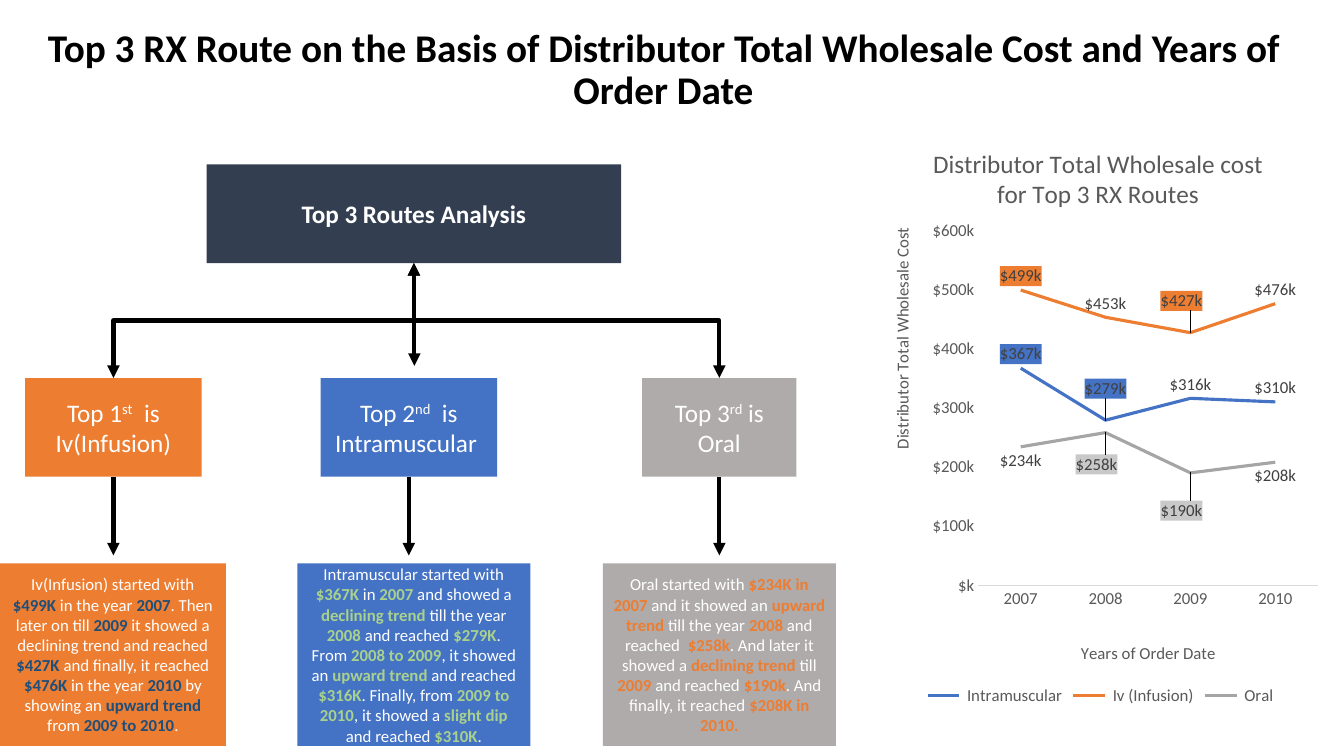
"""Build a slide on the top three RX routes by wholesale cost and order year."""
from lxml.etree import SubElement
from pptx import Presentation
from pptx.chart.data import CategoryChartData
from pptx.dml.color import RGBColor
from pptx.enum.chart import XL_CHART_TYPE, XL_LABEL_POSITION, XL_LEGEND_POSITION, XL_MARKER_STYLE, XL_TICK_MARK
from pptx.enum.shapes import MSO_CONNECTOR, MSO_SHAPE
from pptx.enum.text import MSO_ANCHOR, PP_ALIGN
from pptx.oxml import parse_xml
from pptx.oxml.ns import nsdecls, qn
from pptx.util import Inches, Pt

FONT = "Calibri"
BLACK = RGBColor(0x00, 0x00, 0x00)
WHITE = RGBColor(0xFF, 0xFF, 0xFF)
SLATE = RGBColor(0x33, 0x3F, 0x50)
ORANGE = RGBColor(0xED, 0x7D, 0x31)
BLUE = RGBColor(0x44, 0x72, 0xC4)
GREY = RGBColor(0xAF, 0xAB, 0xAB)
LINE_GREY = RGBColor(0xA5, 0xA5, 0xA5)
LABEL_GREY = RGBColor(0xC9, 0xC9, 0xC9)
NAVY = RGBColor(0x1F, 0x4E, 0x79)
GREEN = RGBColor(0xA9, 0xD1, 0x8E)
AXIS_TEXT = RGBColor(0x59, 0x59, 0x59)
LABEL_TEXT = RGBColor(0x40, 0x40, 0x40)
AXIS_LINE = RGBColor(0xD9, 0xD9, 0xD9)

TITLE = "Top 3 RX Route on the Basis of Distributor Total Wholesale Cost and Years of Order Date"
ROOT = "Top 3 Routes Analysis"
ROUTES = [
    dict(label="Top 1*st*  is Iv(Infusion)", fill=ORANGE, accent=NAVY,
         left=0.25, width=1.75, note_left=0, note_width=2.24,
         note="Iv(Infusion) started with *$499K *in the year *2007*. Then later on till *2009* it showed "
              "a declining trend and reached *$427K *and finally, it reached *$476K *in the year *2010* "
              "by showing an *upward trend *from *2009 to 2010*."),
    dict(label="Top 2*nd*  is Intramuscular ", fill=BLUE, accent=GREEN,
         left=3.18, width=1.75, note_left=2.95, note_width=2.31,
         note="Intramuscular started with *$367K *in *2007* and showed a *declining trend *till the year "
              "*2008* and reached *$279K*. From *2008 to 2009*, it showed an *upward trend *and reached "
              "*$316K*. Finally, from *2009 to 2010*, it showed a *slight dip *and reached *$310K*."),
    dict(label="Top 3*rd* is Oral", fill=GREY, accent=ORANGE,
         left=6.37, width=1.53, note_left=5.98, note_width=2.31,
         note="Oral started with *$234K in 2007* and it showed an *upward trend* till the year *2008* and "
              "reached  *$258k*. And later it showed a *declining trend* till *2009* and reached *$190k*. "
              "And finally, it reached *$208K in 2010.*"),
]
CHART_TITLE = "Distributor Total Wholesale cost for Top 3 RX Routes"
X_TITLE = "Years of Order Date"
Y_TITLE = "Distributor Total Wholesale Cost"
MONEY = r"[$$-409]#,\k"
YEARS = ["2007", "2008", "2009", "2010"]
ABOVE, BELOW = XL_LABEL_POSITION.ABOVE, XL_LABEL_POSITION.BELOW
SERIES = [
    (" Intramuscular", [367000, 279000, 316000, 310000], BLUE, ABOVE, BLUE, {0: (0, 0), 1: (0, -0.03)}),
    (" Iv (Infusion)", [499000, 453000, 427000, 476000], ORANGE, ABOVE, ORANGE, {0: (0, 0), 2: (-0.02, -0.03)}),
    (" Oral", [234000, 258000, 190000, 208000], LINE_GREY, BELOW, LABEL_GREY, {1: (-0.02, 0.03), 2: (-0.02, 0.04)}),
]

prs = Presentation()
prs.slide_width, prs.slide_height = Inches(13.33), Inches(7.5)
slide = prs.slides.add_slide(prs.slide_layouts[6])


def style(font, size, color, bold=False):
    font.name, font.size, font.bold = FONT, Pt(size), bold
    font.color.rgb = color


def write(tf, text, size=18, color=WHITE, bold=False, accent=None, raised=False,
          anchor=MSO_ANCHOR.MIDDLE, spacing=None):
    tf.word_wrap = True
    tf.vertical_anchor = anchor
    p = tf.paragraphs[0]
    p.alignment = PP_ALIGN.CENTER
    p.line_spacing = spacing
    for i, part in enumerate(text.split("*")):
        if not part:
            continue
        marked = i % 2 == 1
        r = p.add_run()
        r.text = part
        style(r.font, size, accent if marked and accent else color, bold or bool(marked and accent))
        if marked and raised:
            r.font._element.set("baseline", "30000")


def box(left, top, width, height, fill, text, **fmt):
    s = slide.shapes.add_shape(MSO_SHAPE.RECTANGLE, Inches(left), Inches(top), Inches(width), Inches(height))
    s.shadow.inherit = False
    s.fill.solid()
    s.fill.fore_color.rgb = fill
    s.line.fill.background()
    write(s.text_frame, text, **fmt)
    return s


def arrow(kind, x1, y1, x2, y2, both=False):
    c = slide.shapes.add_connector(kind, Inches(x1), Inches(y1), Inches(x2), Inches(y2))
    c.line.color.rgb = BLACK
    c.line.width = Pt(3)
    ln = c.line._get_or_add_ln()
    for tag in ("a:headEnd", "a:tailEnd")[0 if both else 1:]:
        SubElement(ln, qn(tag), type="triangle")
    SubElement(c.element.spPr, qn("a:effectLst"))
    return c


def elbow(root, route):
    c = arrow(MSO_CONNECTOR.ELBOW, 0, 0, 1, 1, both=True)
    c.begin_connect(root, 2)
    c.end_connect(route, 0)
    x1, y1 = root.left + root.width // 2, root.top + root.height
    x2, y2 = route.left + route.width // 2, route.top
    c.width, c.height = y2 - y1, abs(x2 - x1)
    c.left, c.top = (x1 + x2 - c.width) // 2, (y1 + y2 - c.height) // 2
    xfrm = c.element.spPr.find(qn("a:xfrm"))
    rightward = x2 > x1
    xfrm.set("rot", str((270 if rightward else 90) * 60000))
    xfrm.set("flipH", "1" if rightward else "0")
    xfrm.set("flipV", "0")


def place(parent, index, **values):
    for old in parent.findall(qn("c:layout")):
        parent.remove(old)
    layout = parse_xml(f"<c:layout {nsdecls('c')}><c:manualLayout/></c:layout>")
    modes = {}
    if index != 1 or parent.tag != qn("c:dLbl"):
        modes = dict(xMode="edge", yMode="edge")
    if "w" in values:
        modes = dict(layoutTarget="inner", **modes)
    for tag, val in {**modes, **values}.items():
        SubElement(layout[0], qn("c:" + tag), val=str(val))
    parent.insert(index, layout)


def chart_title(owner, text, size, x, y):
    tf = owner.text_frame
    tf.text = text
    style(tf.paragraphs[0].runs[0].font, size, AXIS_TEXT)
    place(owner._element, 1, x=x, y=y)


def add_cost_chart():
    data = CategoryChartData(number_format=MONEY)
    data.categories = YEARS
    for name, values, *_ in SERIES:
        data.add_series(name, values)
    chart = slide.shapes.add_chart(XL_CHART_TYPE.LINE, Inches(8.67), Inches(1.17),
                                   Inches(4.49), Inches(5.87), data).chart
    style(chart.font, 12, AXIS_TEXT)
    chart.plots[0].vary_by_categories = False
    chart_title(chart.chart_title, CHART_TITLE, 18, 0.12, 0.04)
    chart.has_legend = True
    chart.legend.position = XL_LEGEND_POSITION.BOTTOM
    chart.legend.include_in_layout = False
    style(chart.legend.font, 12, AXIS_TEXT)
    cat, val = chart.category_axis, chart.value_axis
    for axis in (cat, val):
        axis.major_tick_mark = axis.minor_tick_mark = XL_TICK_MARK.NONE
        axis.has_major_gridlines = False
        style(axis.tick_labels.font, 12, AXIS_TEXT)
    cat.format.line.color.rgb = AXIS_LINE
    cat.format.line.width = Pt(0.75)
    val.format.line.fill.background()
    val.minimum_scale, val.maximum_scale, val.major_unit = 0, 600000, 100000
    val.tick_labels.number_format = MONEY
    val.tick_labels.number_format_is_linked = False
    chart_title(cat.axis_title, X_TITLE, 12, 0.45, 0.88)
    chart_title(val.axis_title, Y_TITLE, 12, 0.03, 0.18)
    body = val.axis_title.text_frame._txBody.find(qn("a:bodyPr"))
    body.set("rot", "-5400000")
    body.set("vert", "horz")
    place(chart.element.find(".//" + qn("c:plotArea")), 0, x=0.23, y=0.19, w=0.75, h=0.6)
    for series, (_, _, color, position, label_fill, offsets) in zip(chart.plots[0].series, SERIES):
        series.smooth = False
        series.marker.style = XL_MARKER_STYLE.NONE
        series.format.line.color.rgb = color
        series.format.line.width = Pt(2.25)
        labels = series.data_labels
        labels.show_value = True
        labels.number_format = MONEY
        labels.number_format_is_linked = False
        labels.position = position
        style(labels.font, 12, LABEL_TEXT)
        for i, (dx, dy) in offsets.items():
            label = series.points[i].data_label
            style(label.font, 12, LABEL_TEXT)
            label.position = position
            d = series._element.xpath(f'c:dLbls/c:dLbl[c:idx/@val="{i}"]')[0]
            for old in d.findall(qn("c:spPr")):
                d.remove(old)
            d.insert(1, parse_xml(f'<c:spPr {nsdecls("c", "a")}><a:solidFill><a:srgbClr val="{label_fill}"/>'
                                  '</a:solidFill></c:spPr>'))
            d.insert(1, parse_xml(f'<c:numFmt {nsdecls("c")} formatCode="{MONEY}" sourceLinked="0"/>'))
            if dx or dy:
                place(d, 1, x=dx, y=dy)


title = slide.shapes.add_textbox(Inches(0), Inches(0.09), Inches(13.16), Inches(1.08))
write(title.text_frame, TITLE, size=28, color=BLACK, bold=True, anchor=MSO_ANCHOR.BOTTOM, spacing=0.9)
add_cost_chart()
root = box(2.05, 1.63, 4.11, 0.98, SLATE, ROOT, bold=True)
route_boxes = [box(t["left"], 3.75, t["width"], 0.98, t["fill"], t["label"], raised=True) for t in ROUTES]
for t in ROUTES:
    box(t["note_left"], 5.59, t["note_width"], 1.81, t["fill"], t["note"], size=12, accent=t["accent"])
elbow(root, route_boxes[0])
elbow(root, route_boxes[2])
arrow(MSO_CONNECTOR.STRAIGHT, 4.11, 3.18, 4.11, 3.63)
for t, route in zip(ROUTES, route_boxes):
    mid = t["left"] + t["width"] / 2
    arrow(MSO_CONNECTOR.STRAIGHT, mid, 4.73, mid, 5.51).begin_connect(route, 2)
prs.save("out.pptx")
